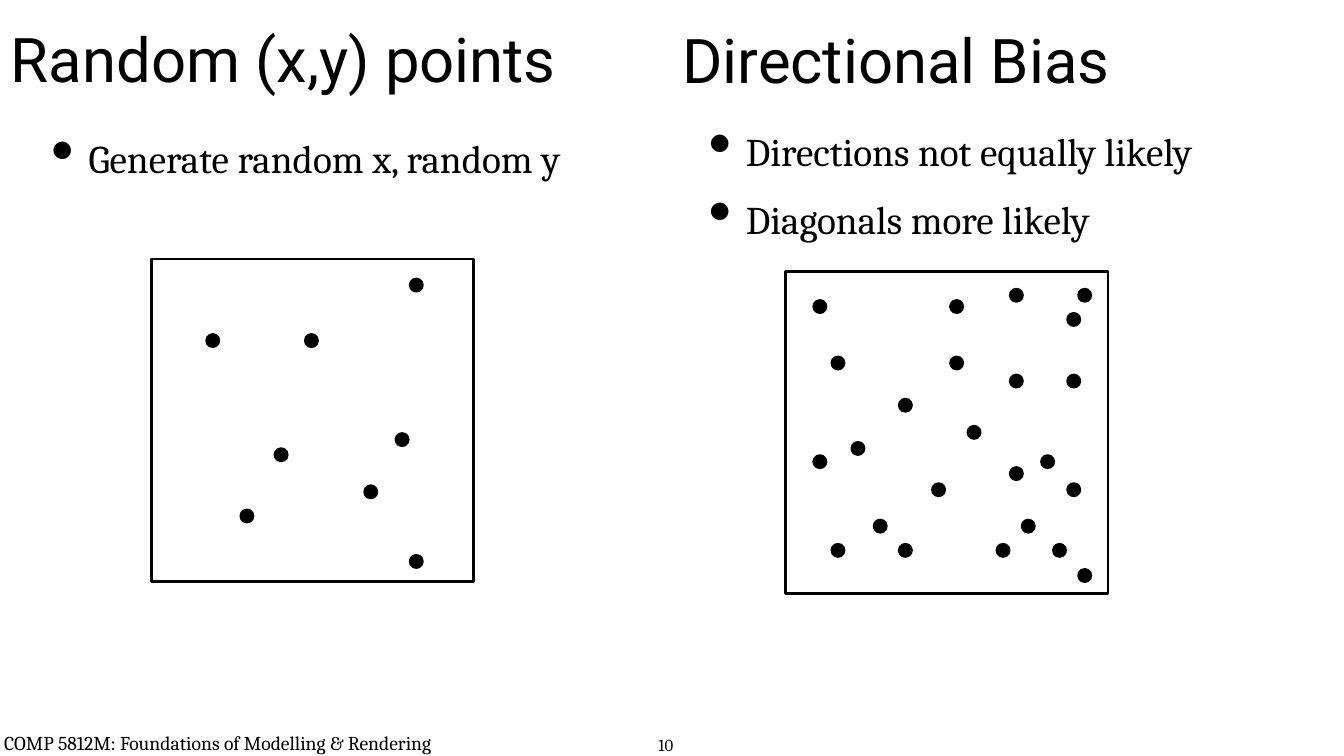
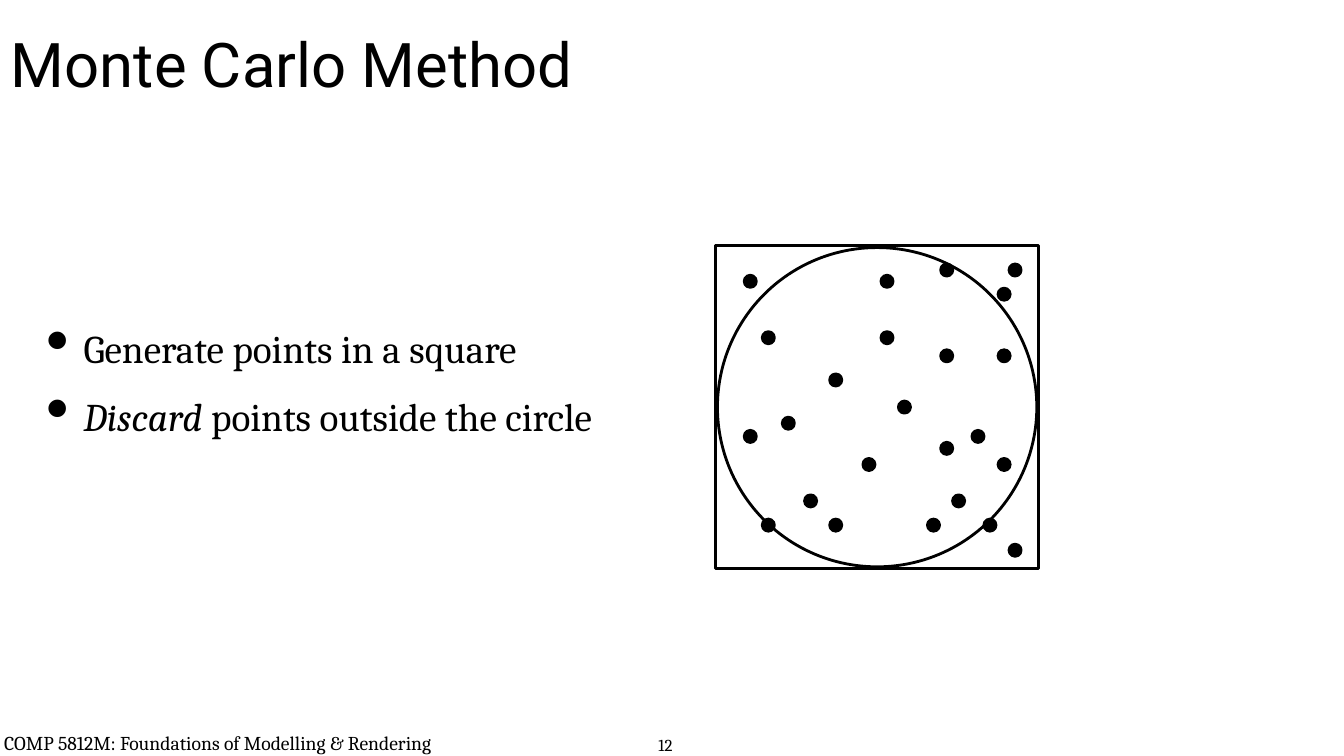
"""Build two slides on random point sampling and the Monte Carlo method."""
from lxml.etree import SubElement
from pptx import Presentation
from pptx.dml.color import RGBColor
from pptx.enum.shapes import MSO_SHAPE
from pptx.enum.text import MSO_ANCHOR, MSO_AUTO_SIZE
from pptx.oxml.ns import qn
from pptx.util import Inches, Pt

COLORS = {"ink": "000000", "paper": "FFFFFF"}
INK = RGBColor.from_string(COLORS["ink"])

prs = Presentation()
prs.slide_width, prs.slide_height = Inches(13.33), Inches(7.5)
COL, ROW = prs.slide_width / 100, prs.slide_height / 100
SIDE = 24 * COL
DOT = 3.75

TITLE = dict(size=44, font="Roboto", spacing=0.9)
BODY = dict(size=28, spacing=0.9, before=18.3, bullet=True)
FOOTER = dict(size=14, spacing=Pt(21), inset=(0.06, 0.06), anchor=MSO_ANCHOR.TOP, grow=True)
NUMBER = dict(size=12, spacing=Pt(19), inset=(0.04, 0.04), wrap=False, grow=True)

FEW_POINTS = [
    (17.2, 23.4), (27.8, 77.8), (47.8, 23.4), (75.9, 54.1),
    (38.4, 58.8), (66.2, 70.3), (80.3, 91.9), (80.3, 6.2),
]
MANY_POINTS = [
    (8.8, 9.1), (14.4, 84.7), (51.2, 9.1), (69.7, 32.2), (20.6, 53.1), (56.6, 48.1),
    (83.1, 84.7), (69.7, 5.6), (14.4, 26.6), (27.5, 77.2), (51.2, 26.6), (79.4, 57.2),
    (8.8, 57.2), (69.7, 60.9), (65.6, 84.7), (90.9, 5.6), (35.3, 39.7), (35.3, 84.7),
    (87.5, 32.2), (87.5, 65.9), (45.6, 65.9), (73.4, 77.2), (90.9, 92.5), (87.5, 13.1),
]

SLIDES = [
    dict(
        number="10",
        texts=[
            ((0.08, 0.53, 99.9, 15.6), "Random (x,y) points", TITLE),
            ((50.03, 0.67, 49.9, 15.6), "Directional Bias", TITLE),
            ((1.65, 14.67, 60.38, 13.2), "Generate random x, random y", BODY),
            ((50.56, 13.33, 60.38, 23.07),
             "Directions not equally likely\nDiagonals more likely", BODY),
        ],
        plots=[(11.25, 34.27, FEW_POINTS, False), (58.44, 35.87, MANY_POINTS, False)],
    ),
    dict(
        number="12",
        texts=[
            ((0.08, 1.2, 99.9, 15.6), "Monte Carlo Method", TITLE),
            ((1.28, 39.33, 60.38, 23.07),
             "Generate points in a square\n*Discard* points outside the circle", BODY),
        ],
        plots=[(53.26, 32.53, MANY_POINTS, True)],
    ),
]


def add_text(s, box, text, *, size, font="Cambria", spacing=1.0, before=0, bullet=False,
             inset=(0.1, 0.05), anchor=MSO_ANCHOR.MIDDLE, wrap=True, grow=False):
    """Add a text box on the grid; text between asterisks is italic."""
    left, top, width, height = box
    tf = s.shapes.add_textbox(
        int(left * COL), int(top * ROW), int(width * COL), int(height * ROW)).text_frame
    tf.word_wrap, tf.vertical_anchor = wrap, anchor
    tf.auto_size = MSO_AUTO_SIZE.SHAPE_TO_FIT_TEXT if grow else MSO_AUTO_SIZE.NONE
    tf.margin_left = tf.margin_right = Inches(inset[0])
    tf.margin_top = tf.margin_bottom = Inches(inset[1])
    for i, line in enumerate(text.split("\n")):
        p = tf.add_paragraph() if i else tf.paragraphs[0]
        p.line_spacing, p.space_before = spacing, Pt(before)
        if bullet:
            pPr = p._p.get_or_add_pPr()
            pPr.set("marL", str(Inches(0.56)))
            pPr.set("indent", str(Inches(-0.37)))
            SubElement(pPr, qn("a:buSzPct"), val="171000")
            SubElement(pPr, qn("a:buChar"), char="•")
        for j, part in enumerate(line.split("*")):
            if part:
                r = p.add_run()
                r.text = part
                r.font.size, r.font.name, r.font.italic = Pt(size), font, j % 2 == 1
                r.font.color.rgb = INK


def add_outline(s, kind, left, top, size, filled=False):
    """Add an equal-sided shape with a thin ink line."""
    sp = s.shapes.add_shape(kind, int(left), int(top), int(size), int(size))
    sp.shadow.inherit = False
    sp.line.color.rgb, sp.line.width = INK, Pt(2)
    if filled:
        sp.fill.solid()
        sp.fill.fore_color.rgb = INK
    else:
        sp.fill.background()


for content in SLIDES:
    s = prs.slides.add_slide(prs.slide_layouts[6])
    s.background.fill.solid()
    s.background.fill.fore_color.rgb = RGBColor.from_string(COLORS["paper"])
    add_text(s, (-0.15, 95.07, 47.33, 5.2),
             "COMP 5812M: Foundations of Modelling & Rendering", **FOOTER)
    add_text(s, (48.69, 95.87, 2.62, 4.4), content["number"], **NUMBER)
    for box, text, style in content["texts"]:
        add_text(s, box, text, **style)
    for col, row, points, circled in content["plots"]:
        left, top = col * COL, row * ROW
        add_outline(s, MSO_SHAPE.RECTANGLE, left, top, SIDE)
        for x, y in points:
            add_outline(s, MSO_SHAPE.OVAL, left + x * SIDE / 100, top + y * SIDE / 100,
                        DOT * SIDE / 100, filled=True)
        if circled:
            gap = SIDE / 200
            add_outline(s, MSO_SHAPE.OVAL, left + gap, top + gap, SIDE - 2 * gap)

prs.save("out.pptx")
